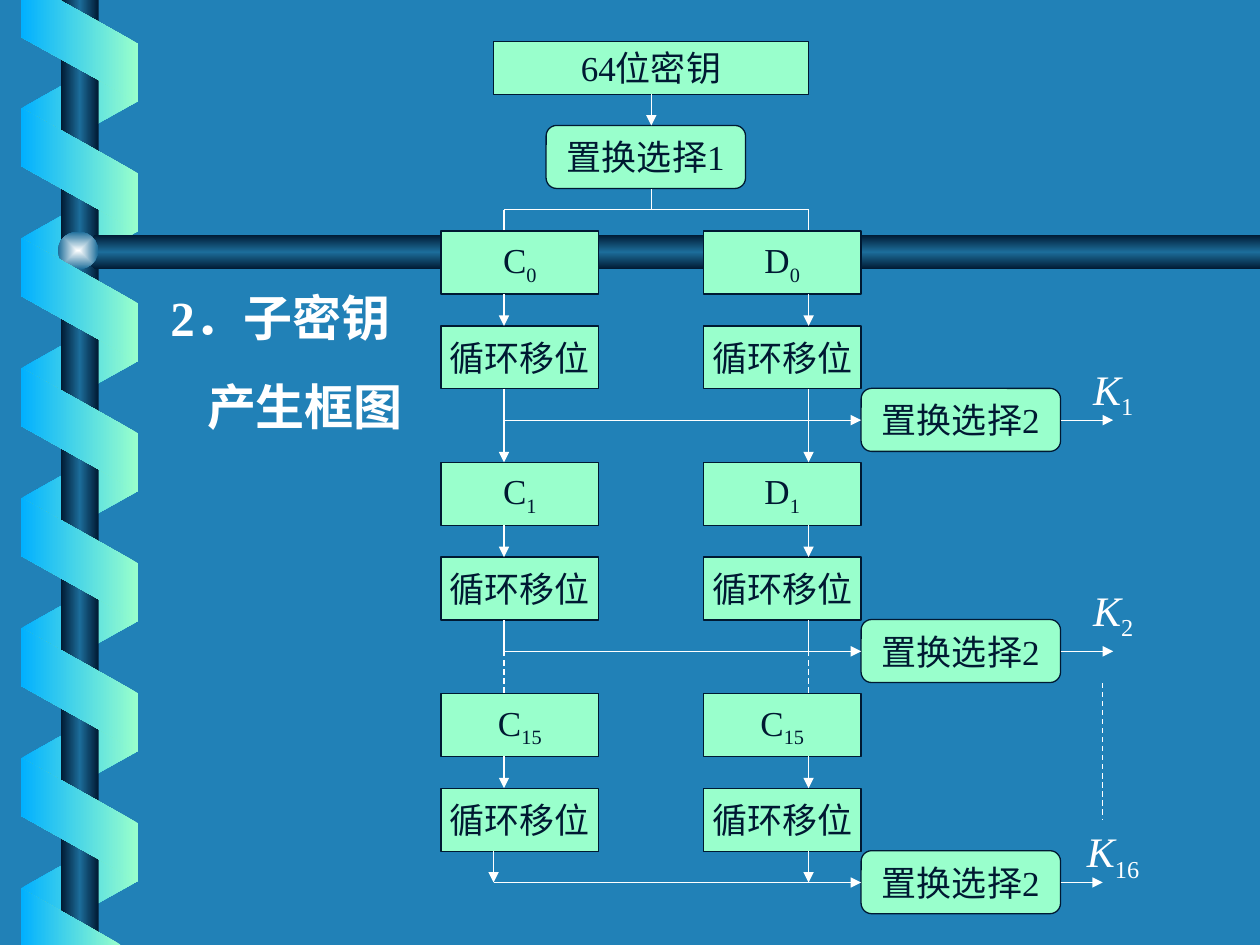
from pptx import Presentation
from pptx.dml.color import RGBColor
from pptx.enum.dml import MSO_LINE
from pptx.enum.shapes import MSO_CONNECTOR, MSO_SHAPE
from pptx.enum.text import MSO_ANCHOR, MSO_AUTO_SIZE, PP_ALIGN
from pptx.oxml import parse_xml
from pptx.oxml.ns import nsdecls, qn
from pptx.util import Cm, Pt

BLUE = RGBColor(0x21, 0x81, 0xB7)
MINT = RGBColor(0x99, 0xFF, 0xCC)
SKY = RGBColor(0x01, 0xB0, 0xFF)
NAVY = RGBColor(0x00, 0x19, 0x32)
STEEL = RGBColor(0x1C, 0x6D, 0x9A)
PEARL = RGBColor(0xFE, 0xFF, 0xFF)
WHITE = RGBColor(0xFF, 0xFF, 0xFF)
FONT = "Times New Roman"

# Key schedule measures, in centimetres
BOX_W, BOX_H = 3.18, 1.27
PICK_W = 4.02
ROUND_PITCH = 4.66
REGISTER_X = (0, 5.29)      # left edges of the C and D boxes
FLOW_X = (1.27, 7.41)       # vertical arrows below C and D
PICK_X = 8.47
SHIFT_Y, PICK_Y, BUS_Y = 1.91, 3.17, 3.81


def paint_gradient(shape, colours, angle=None):
    """Spread colours evenly, along an angle or outwards from the centre."""
    last = len(colours) - 1
    stops = "".join(
        f'<a:gs pos="{100000 * i // last}"><a:srgbClr val="{colour}"/></a:gs>'
        for i, colour in enumerate(colours))
    if angle is None:
        course = ('<a:path path="rect"><a:fillToRect l="50000" t="50000" '
                  'r="50000" b="50000"/></a:path>')
    else:
        course = f'<a:lin ang="{angle * 60000}" scaled="0"/>'
    shape.shadow.inherit = False
    shape.line.fill.background()
    shape.fill.background()
    properties = shape._element.spPr
    properties.replace(properties.find(qn("a:noFill")), parse_xml(
        f'<a:gradFill rotWithShape="0" {nsdecls("a")}>'
        f'<a:gsLst>{stops}</a:gsLst>{course}</a:gradFill>'))


def add_outline(slide, points):
    start, *rest = [(Cm(x), Cm(y)) for x, y in points]
    builder = slide.shapes.build_freeform(*start)
    builder.add_line_segments(rest, close=True)
    return builder.convert_to_shape()


def add_run(paragraph, text, size, colour, italic=False, bold=False, sub=False):
    run = paragraph.add_run()
    run.text = text
    font = run.font
    font.name, font.size = FONT, Pt(size)
    font.italic, font.bold = italic, bold
    font.color.rgb = colour
    if sub:
        font._element.set("baseline", "-25000")


def add_box(slide, left, top, width, height, text, sub="", rounded=False):
    kind = MSO_SHAPE.FLOWCHART_ALTERNATE_PROCESS if rounded else MSO_SHAPE.RECTANGLE
    box = slide.shapes.add_shape(kind, Cm(left), Cm(top), Cm(width), Cm(height))
    box.shadow.inherit = False
    box.fill.solid()
    box.fill.fore_color.rgb = MINT
    box.line.color.rgb = NAVY
    box.line.width = Pt(0.75)
    frame = box.text_frame
    frame.word_wrap = False
    frame.vertical_anchor = MSO_ANCHOR.MIDDLE
    paragraph = frame.paragraphs[0]
    paragraph.alignment = PP_ALIGN.CENTER
    add_run(paragraph, text, 20, NAVY)
    if sub:
        add_run(paragraph, sub, 20, NAVY, sub=True)


def add_line(slide, x1, y1, x2, y2, arrow=False, dashed=False):
    line = slide.shapes.add_connector(
        MSO_CONNECTOR.STRAIGHT, Cm(x1), Cm(y1), Cm(x2), Cm(y2))
    line.line.color.rgb = WHITE
    line.line.width = Pt(0.75)
    if dashed:
        line.line.dash_style = MSO_LINE.DASH
    if arrow:
        line.line._get_or_add_ln().append(
            parse_xml(f'<a:tailEnd type="triangle" {nsdecls("a")}/>'))
    line._element.spPr.append(parse_xml(f'<a:effectLst {nsdecls("a")}/>'))


def add_strips(slide, left, top, count, front):
    """One side of the ribbon: slanted strips at equal steps down the pole."""
    for i in range(count):
        strip = slide.shapes.add_shape(
            MSO_SHAPE.PARALLELOGRAM, Cm(left), Cm(top + 2.62 * i), Cm(2.49), Cm(2.36))
        strip.adjustments[0] = 0.56
        strip.rotation = 270 if front else 90
        if not front:
            strip._element.spPr.find(qn("a:xfrm")).set("flipH", "1")
        paint_gradient(strip, (MINT, SKY) if front else (SKY, MINT), 180)


def draw_ribbon_pole(slide, left, height):
    add_strips(slide, left, 0.93, 7, front=False)
    # Pole, crossbar and the ball where they meet
    pole = slide.shapes.add_shape(
        MSO_SHAPE.RECTANGLE, Cm(left + 0.87), 0, Cm(0.76), Cm(height))
    paint_gradient(pole, (NAVY, STEEL, NAVY), 180)
    crossbar = add_outline(slide, [
        (25.4, 4.73), (left + 1.57, 4.73), (left + 1.17, 5.08),
        (left + 1.57, 5.43), (25.4, 5.43)])
    paint_gradient(crossbar, (NAVY, STEEL, NAVY), 90)
    ball = slide.shapes.add_shape(
        MSO_SHAPE.OVAL, Cm(left + 0.81), Cm(4.67), Cm(0.81), Cm(0.76))
    paint_gradient(ball, (PEARL, STEEL))
    # Front strips, with the cut ones at the slide's top and bottom
    add_strips(slide, left, 2.24, 6, front=True)
    near, far = left + 0.07, left + 2.42
    cut_ends = (
        [(near, 0), (near, 0.75), (far, 2.05), (far, 0.88), (left + 0.84, 0)],
        [(left + 2.08, height), (near, height - 1.14), (near, height)])
    for points in cut_ends:
        paint_gradient(add_outline(slide, points), (MINT, SKY), 180)


def write_title(slide, left, top, width, height):
    title = slide.shapes.title
    title.left, title.top, title.width, title.height = map(
        Cm, (left, top, width, height))
    frame = title.text_frame
    frame.word_wrap = True
    frame.auto_size = MSO_AUTO_SIZE.NONE
    frame.vertical_anchor = MSO_ANCHOR.TOP
    first, second = frame.paragraphs[0], frame.add_paragraph()
    for paragraph, text in ((first, "2．子密钥"), (second, "产生框图")):
        paragraph.alignment = PP_ALIGN.LEFT
        paragraph.space_before = Pt(17.5)
        add_run(paragraph, text, 28, WHITE, bold=True)
    second._p.get_or_add_pPr().set("marL", str(Cm(0.74)))


def draw_key_input(slide, left, top):
    """The 64-bit key, its first permutation and the split into C and D."""
    middle, fork = left + 4.24, top + 3.39
    c_flow, d_flow = (left + x for x in FLOW_X)
    add_box(slide, left + 1.06, top, 6.35, 1.06, "64位密钥")
    add_box(slide, left + 2.12, top + 1.69, PICK_W, BOX_H, "置换选择1", rounded=True)
    add_line(slide, middle, top + 1.06, middle, top + 1.69, arrow=True)
    add_line(slide, middle, fork, middle, top + 2.96)
    add_line(slide, c_flow, fork, d_flow, fork)
    for x in (c_flow, d_flow):
        add_line(slide, x, fork, x, top + 3.82)


def add_key_label(slide, left, top, number):
    label = slide.shapes.add_textbox(Cm(left), Cm(top), Cm(2.54), Cm(1.42))
    label.text_frame.word_wrap = True
    paragraph = label.text_frame.paragraphs[0]
    paragraph.alignment = PP_ALIGN.CENTER
    paragraph.space_before = Pt(15)
    add_run(paragraph, "K", 24, WHITE, italic=True)
    add_run(paragraph, number, 24, WHITE, sub=True)


def draw_round(slide, left, top, registers, sub, key, label_y, bus_x, key_end):
    """One round: registers, shifts, the second permutation and its subkey."""
    bus = top + BUS_Y
    pick_left = left + PICK_X
    for x, flow, register in zip(REGISTER_X, FLOW_X, registers):
        add_box(slide, left + x, top, BOX_W, BOX_H, register, sub)
        add_box(slide, left + x, top + SHIFT_Y, BOX_W, BOX_H, "循环移位")
        add_line(slide, left + flow, top + BOX_H, left + flow, top + SHIFT_Y, arrow=True)
    add_box(slide, pick_left, top + PICK_Y, PICK_W, BOX_H, "置换选择2", rounded=True)
    add_line(slide, left + bus_x, bus, pick_left, bus, arrow=True)
    add_line(slide, pick_left + PICK_W, bus, left + key_end, bus, arrow=True)
    add_key_label(slide, left + 12.28, top + label_y, key)


def draw_rounds(slide, left, top):
    rounds = (
        ("CD", "0", "1", 2.54, FLOW_X[0], 13.55),
        ("CD", "1", "2", 2.33, FLOW_X[0], 13.55),
        ("CC", "15", "16", 2.54, 1.06, 13.34))
    tops = [top + ROUND_PITCH * i for i in range(len(rounds))]
    for round_top, details in zip(tops, rounds):
        draw_round(slide, left, round_top, *details)
    # Links to the next round; dashes stand for the rounds left out
    shift_end = SHIFT_Y + BOX_H
    for flow, last_flow in zip(FLOW_X, (1.06, FLOW_X[1])):
        x = left + flow
        add_line(slide, x, tops[0] + shift_end, x, tops[1], arrow=True)
        add_line(slide, x, tops[1] + shift_end, x, tops[1] + BUS_Y)
        add_line(slide, x, tops[1] + BUS_Y, x, tops[2], dashed=True)
        add_line(slide, left + last_flow, tops[2] + shift_end,
                 left + last_flow, tops[2] + BUS_Y, arrow=True)
    add_line(slide, left + 13.34, tops[1] + 4.45, left + 13.34, tops[2] + 2.54, dashed=True)


def main():
    deck = Presentation()
    deck.slide_width, deck.slide_height = Cm(25.4), Cm(19.05)
    slide = deck.slides.add_slide(deck.slide_layouts[5])
    slide.background.fill.solid()
    slide.background.fill.fore_color.rgb = BLUE
    draw_ribbon_pole(slide, 0.36, 19.05)
    write_title(slide, 3.18, 5.66, 5.29, 3.25)
    draw_key_input(slide, 8.89, 0.84)
    draw_rounds(slide, 8.89, 4.66)
    deck.save("out.pptx")


if __name__ == "__main__":
    main()
